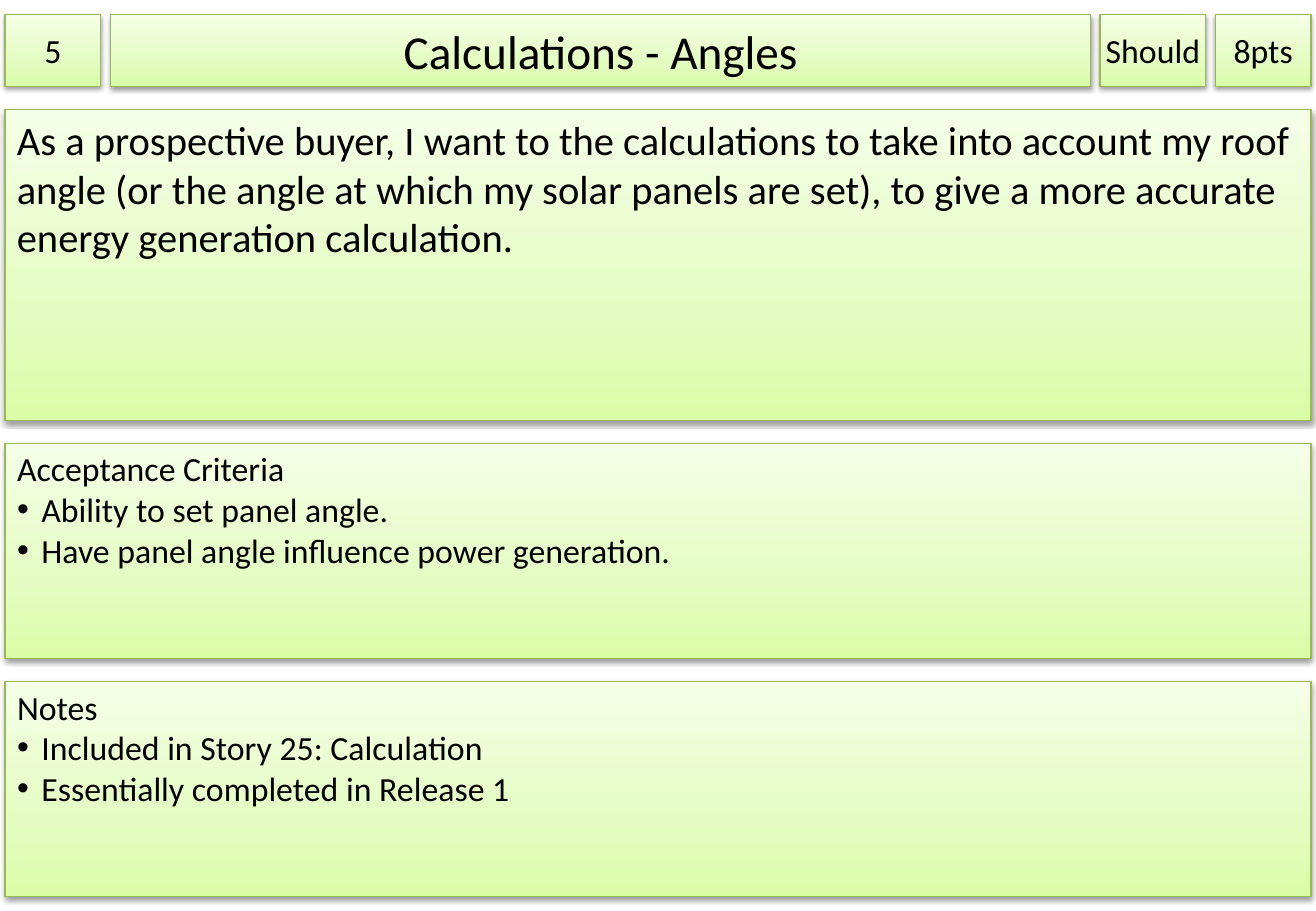
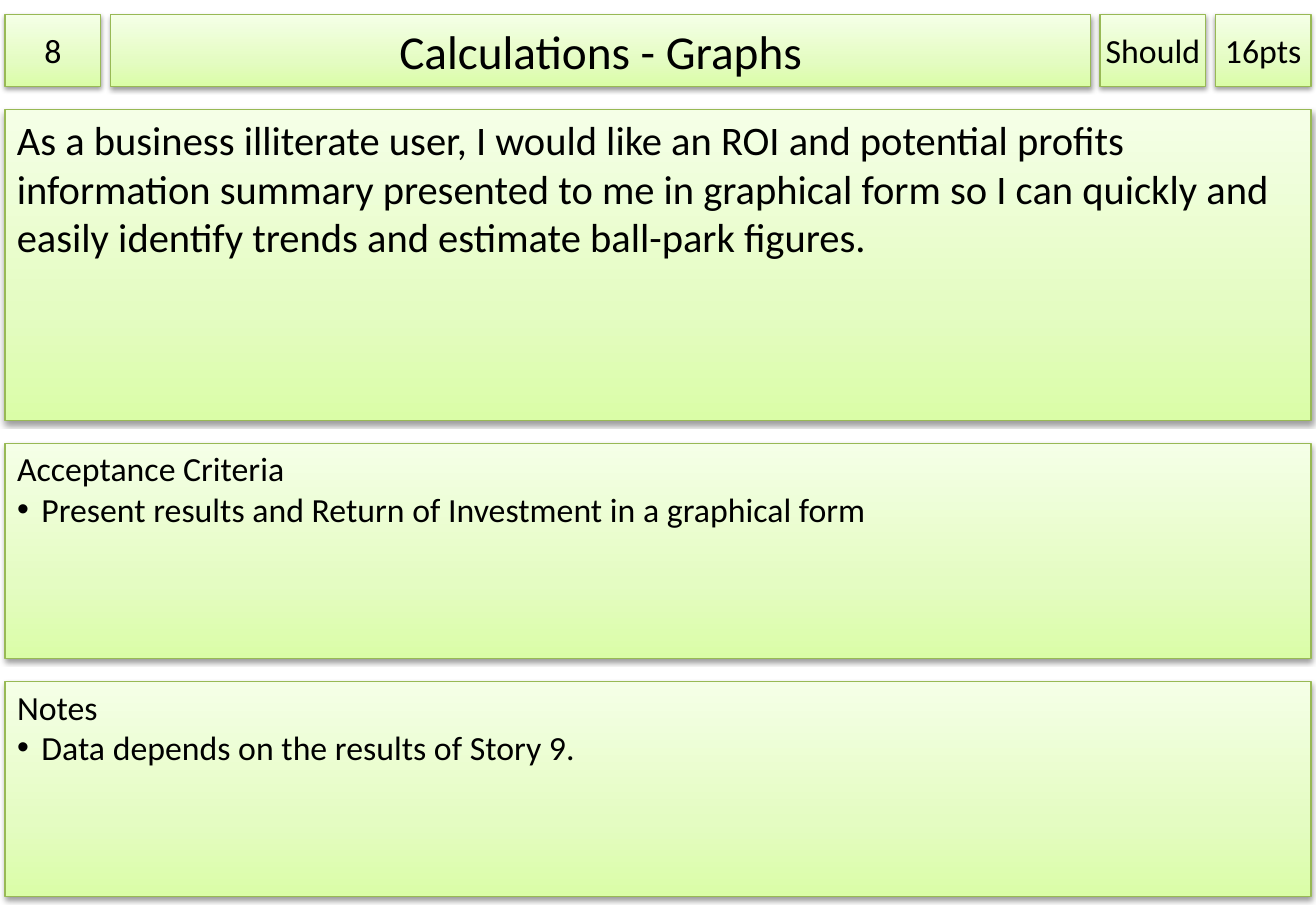
from copy import deepcopy
from dataclasses import dataclass

from lxml import etree
from pptx import Presentation, util as u
from pptx.dml.color import RGBColor
from pptx.enum import shapes, text
from pptx.oxml import ns

BLACK = RGBColor(0x00, 0x00, 0x00)
EDGE = RGBColor(0x98, 0xB9, 0x55)
STOPS = (
    (0, RGBColor(0xDA, 0xFD, 0xA7)),
    (0.35, RGBColor(0xE4, 0xFC, 0xC2)),
    (1, RGBColor(0xF5, 0xFF, 0xE7)),
)
FONT = "Calibri"
LEFT, TOP, WIDTH = 0.04, 0.12, 10.75
COLS = (0.79, 8.07, 0.87, 0.79)
ROWS = (0.59, 2.56, 1.77, 1.77)
COL_GAP = (WIDTH - sum(COLS)) / (len(COLS) - 1)
ROW_GAP = 0.19
INDENT = 0.2


@dataclass(frozen=True)
class Style:
    size: int
    side: float = 0.1
    top: float = 0.05
    mid: bool = False
    wrap: bool = True


HEAD = Style(28, mid=True)
TAG = Style(20, side=0, mid=True)
RANK = Style(20, side=0, mid=True, wrap=False)
STORY = Style(24)
LIST = Style(20, top=0.04)


@dataclass(frozen=True)
class Card:
    num: str
    title: str
    rank: str
    points: str
    story: str
    tests: tuple[str, ...]
    notes: tuple[str, ...]


CARDS = (
    Card(
        "5", "Calculations - Angles", "Should", "8pts",
        "As a prospective buyer, I want to the calculations to take into account "
        "my roof angle (or the angle at which my solar panels are set), to give "
        "a more accurate energy generation calculation.",
        ("Ability to set panel angle.",
         "Have panel angle influence power generation."),
        ("Included in Story 25: Calculation",
         "Essentially completed in Release 1"),
    ),
    Card(
        "8", "Calculations - Graphs", "Should", "16pts",
        "As a business illiterate user, I would like an ROI and potential profits "
        "information summary presented to me in graphical form so I can quickly "
        "and easily identify trends and estimate ball-park figures.",
        ("Present results and Return of Investment in a graphical form",),
        ("Data depends on the results of Story 9.",),
    ),
)


def place(shape, row: int, col: int | None = None) -> None:
    shape.left = u.Inches(LEFT + sum(COLS[:col or 0]) + (col or 0) * COL_GAP)
    shape.top = u.Inches(TOP + sum(ROWS[:row]) + row * ROW_GAP)
    shape.width = u.Inches(WIDTH if col is None else COLS[col])
    shape.height = u.Inches(ROWS[row])


def paint(shape) -> None:
    props = shape.element.spPr
    shape.fill.gradient()
    shape.fill.gradient_angle = 90
    first = props.find(".//" + ns.qn("a:gs"))
    first.addnext(deepcopy(first))
    for stop, (pos, tint) in zip(shape.fill.gradient_stops, STOPS):
        stop.position = pos
        stop.color.rgb = tint
    shape.line.color.rgb = EDGE
    shape.line.width = u.Pt(0.75)
    shape.shadow.inherit = False
    shade = etree.SubElement(
        props.find(ns.qn("a:effectLst")), ns.qn("a:outerShdw"),
        blurRad=str(u.Pt(3.1)), dist=str(u.Pt(1.6)), dir="5400000", rotWithShape="0",
    )
    tone = etree.SubElement(shade, ns.qn("a:srgbClr"), val=str(BLACK))
    etree.SubElement(tone, ns.qn("a:alpha"), val="38000")


def mark(para, on: bool) -> None:
    props = para._p.get_or_add_pPr()
    step = u.Inches(INDENT) if on else 0
    props.set("marL", str(step))
    props.set("indent", str(-step))
    if on:
        etree.SubElement(props, ns.qn("a:buFont"), typeface="Arial")
        etree.SubElement(props, ns.qn("a:buChar"), char="•")
    else:
        etree.SubElement(props, ns.qn("a:buNone"))


def write(shape, style: Style, lead: str, items: tuple[str, ...] = ()) -> None:
    frame = shape.text_frame
    frame.text = "\n".join((lead, *items))
    frame.auto_size = text.MSO_AUTO_SIZE.NONE
    frame.word_wrap = style.wrap
    frame.margin_left = frame.margin_right = u.Inches(style.side)
    frame.margin_top, frame.margin_bottom = u.Inches(style.top), u.Inches(0.05)
    frame.vertical_anchor = (
        text.MSO_ANCHOR.MIDDLE if style.mid else text.MSO_ANCHOR.TOP
    )
    for i, para in enumerate(frame.paragraphs):
        mark(para, i > 0)
        para.alignment = text.PP_ALIGN.CENTER if style.mid else text.PP_ALIGN.LEFT
        para.space_before = u.Pt(0)
        para.font.name = FONT
        para.font.size = u.Pt(style.size)
        para.font.color.rgb = BLACK


def draw(deck, card: Card) -> None:
    slide = deck.slides.add_slide(deck.slide_layouts[3])
    hold = slide.placeholders

    def box():
        return slide.shapes.add_shape(shapes.MSO_SHAPE.RECTANGLE, 0, 0, 0, 0)

    panels = (
        (box(), 0, 0, TAG, card.num, ()),
        (slide.shapes.title, 0, 1, HEAD, card.title, ()),
        (box(), 0, 2, RANK, card.rank, ()),
        (box(), 0, 3, TAG, card.points, ()),
        (box(), 1, None, STORY, card.story, ()),
        (hold[1], 2, None, LIST, "Acceptance Criteria", card.tests),
        (hold[2], 3, None, LIST, "Notes", card.notes),
    )
    for shape, row, col, style, lead, items in panels:
        place(shape, row, col)
        paint(shape)
        write(shape, style, lead, items)


def main() -> None:
    deck = Presentation()
    deck.slide_width, deck.slide_height = u.Inches(10.83), u.Inches(7.5)
    for card in CARDS:
        draw(deck, card)
    deck.save("out.pptx")


if __name__ == "__main__":
    main()
